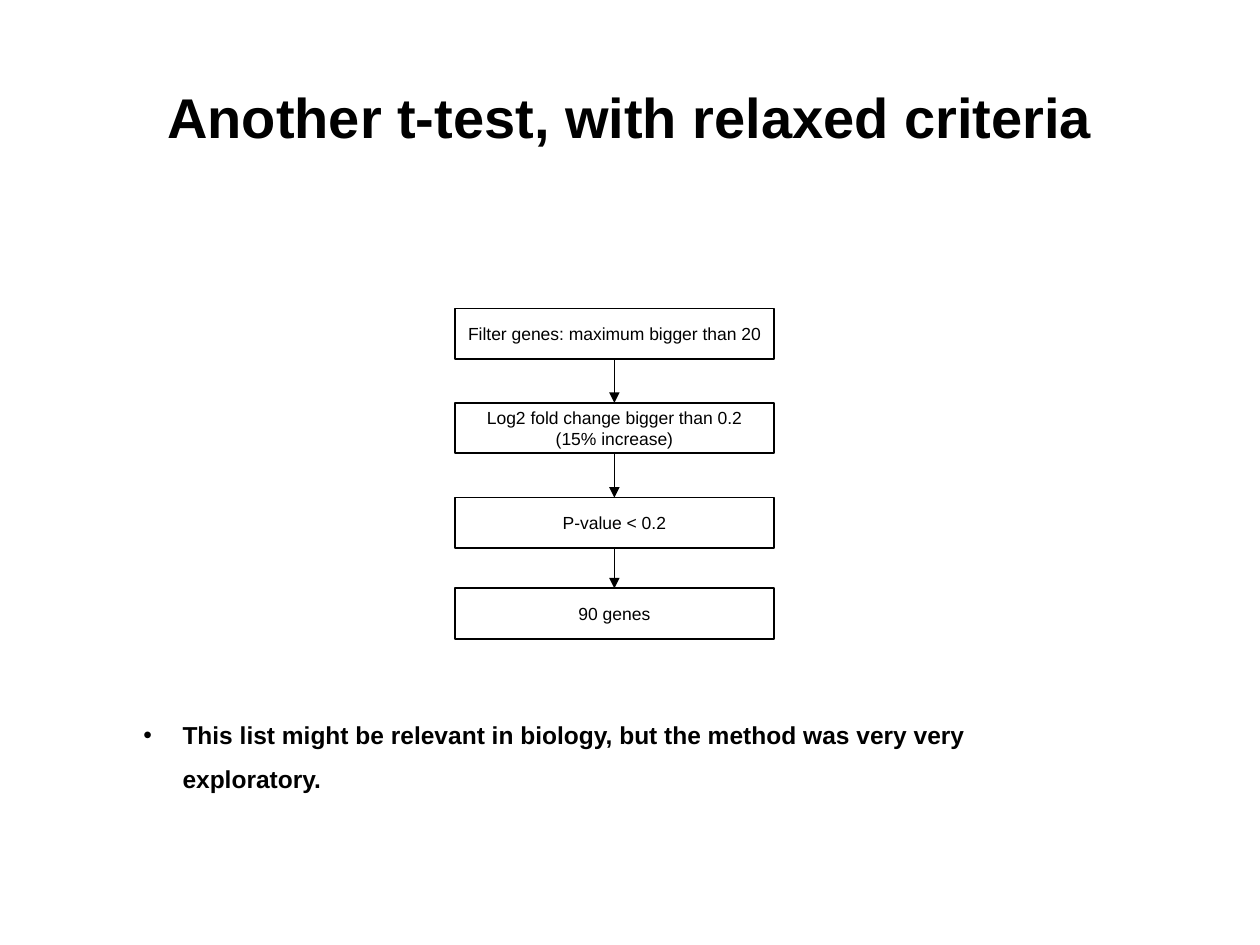
from lxml import etree
from pptx import Presentation
from pptx.dml.color import RGBColor
from pptx.enum.shapes import MSO_CONNECTOR, MSO_SHAPE
from pptx.enum.text import MSO_ANCHOR, PP_ALIGN
from pptx.oxml.ns import qn
from pptx.util import Cm, Pt

CENTER, LEFT = PP_ALIGN.CENTER, PP_ALIGN.LEFT
MIDDLE, TOP = MSO_ANCHOR.MIDDLE, MSO_ANCHOR.TOP
RECTANGLE, STRAIGHT = MSO_SHAPE.RECTANGLE, MSO_CONNECTOR.STRAIGHT
TOP_SITE, BOTTOM_SITE = 0, 2

FONT = "Arial"
COLORS = {"ink": "000000", "paper": "FFFFFF"}
STEP_HEIGHT = 1.02
# Text of each step and its distance in cm below the top of the flow
STEPS = [
    ("Filter genes: maximum bigger than 20", 0),
    ("Log2 fold change bigger than 0.2 (15% increase)", 1.9),
    ("P-value < 0.2", 3.81),
    ("90 genes", 5.64),
]


def color(name):
    return RGBColor.from_string(COLORS[name])


def write(shape, text, size=10, bold=False, align=CENTER, anchor=MIDDLE):
    frame = shape.text_frame
    frame.word_wrap = True
    frame.vertical_anchor = anchor
    paragraph = frame.paragraphs[0]
    paragraph.alignment = align
    run = paragraph.add_run()
    run.text = text
    run.font.name = FONT
    run.font.size = Pt(size)
    run.font.bold = bold
    run.font.color.rgb = color("ink")
    return paragraph


def add_title(slide, left, top, width, height):
    box = slide.shapes.add_textbox(Cm(left), Cm(top), Cm(width), Cm(height))
    write(box, "Another t-test, with relaxed criteria", size=32, bold=True)


def add_step(slide, text, left, top, width):
    shape = slide.shapes.add_shape(
        RECTANGLE, Cm(left), Cm(top), Cm(width), Cm(STEP_HEIGHT))
    shape.shadow.inherit = False
    shape.fill.solid()
    shape.fill.fore_color.rgb = color("paper")
    shape.line.color.rgb = color("ink")
    shape.line.width = Pt(1)
    write(shape, text)
    return shape


def add_arrow(slide, upper, lower):
    """Join the bottom of the upper step to the top of the lower one."""
    arrow = slide.shapes.add_connector(STRAIGHT, 0, 0, 0, 0)
    arrow.begin_connect(upper, BOTTOM_SITE)
    arrow.end_connect(lower, TOP_SITE)
    arrow.line.color.rgb = color("ink")
    arrow.line.width = Pt(1)
    etree.SubElement(arrow.line._get_or_add_ln(), qn("a:tailEnd"),
                     type="triangle", w="med", len="med")
    etree.SubElement(arrow._element.spPr, qn("a:effectLst"))


def add_flow(slide, left, top, width):
    steps = [add_step(slide, text, left, top + offset, width)
             for text, offset in STEPS]
    for upper, lower in zip(steps, steps[1:]):
        add_arrow(slide, upper, lower)


def add_conclusion(slide, left, top, width, height):
    box = slide.shapes.add_textbox(Cm(left), Cm(top), Cm(width), Cm(height))
    paragraph = write(
        box,
        "This list might be relevant in biology, but the method was very very exploratory.",
        size=14, bold=True, align=LEFT, anchor=TOP)
    paragraph.line_spacing = 1.5
    indent = Cm(0.79)
    properties = paragraph._p.get_or_add_pPr()
    properties.set("marL", str(indent))
    properties.set("indent", str(-indent))
    etree.SubElement(properties, qn("a:buFont"), typeface=FONT)
    etree.SubElement(properties, qn("a:buChar"), char="•")


def main():
    presentation = Presentation()
    presentation.slide_width = Cm(25.4)
    presentation.slide_height = Cm(19.05)
    slide = presentation.slides.add_slide(presentation.slide_layouts[6])
    slide.background.fill.solid()
    slide.background.fill.fore_color.rgb = color("paper")

    add_title(slide, 1.27, 0.76, 22.86, 3.18)
    add_flow(slide, 9.17, 6.22, 6.43)
    add_conclusion(slide, 2.64, 14.1, 19.5, 2.01)
    presentation.save("out.pptx")


if __name__ == "__main__":
    main()
